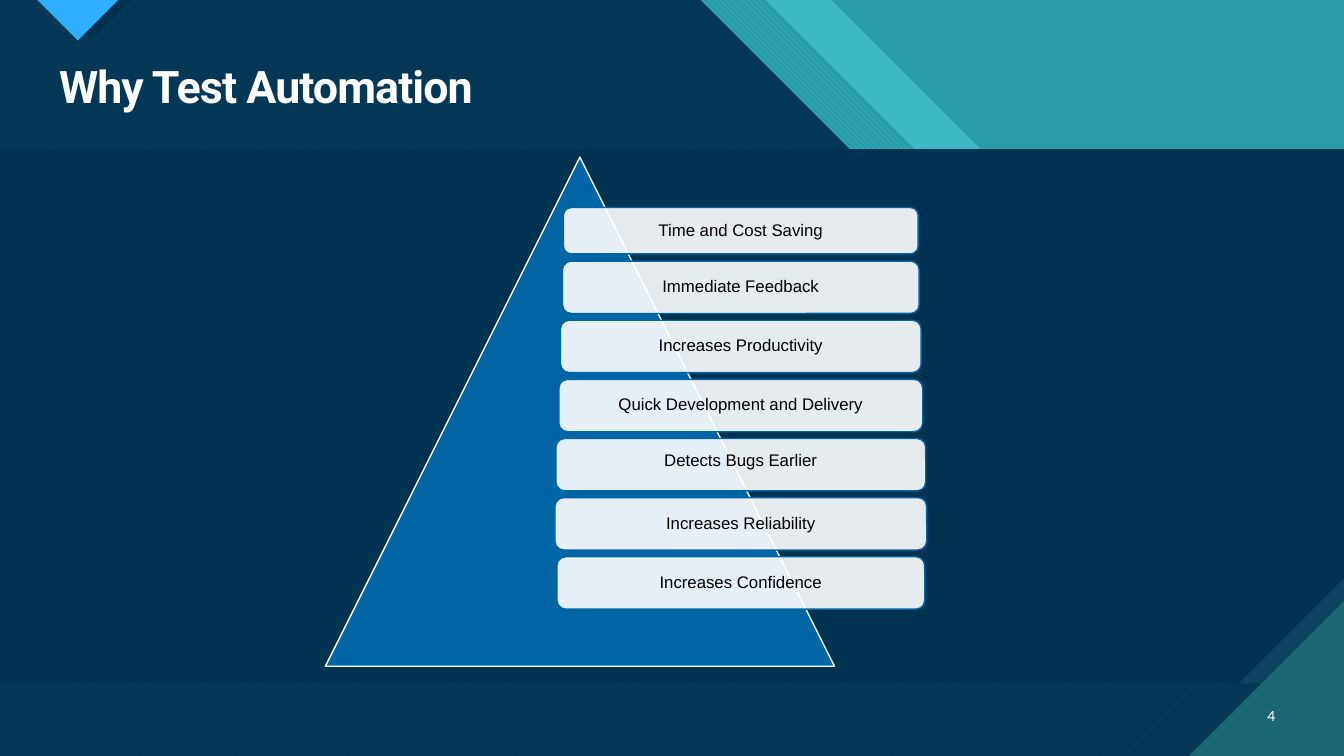
from dataclasses import dataclass

from lxml import etree
from pptx import Presentation
from pptx.dml.color import RGBColor
from pptx.enum.dml import MSO_PATTERN
from pptx.enum.shapes import MSO_SHAPE
from pptx.enum.text import MSO_ANCHOR, PP_ALIGN
from pptx.oxml.ns import qn
from pptx.util import Cm, Pt

RECT = MSO_SHAPE.RECTANGLE
ROUND_RECT = MSO_SHAPE.ROUNDED_RECTANGLE
TRIANGLE = MSO_SHAPE.ISOSCELES_TRIANGLE
DOWN_HATCH = MSO_PATTERN.WIDE_DOWNWARD_DIAGONAL
UP_HATCH = MSO_PATTERN.WIDE_UPWARD_DIAGONAL
TOP, MIDDLE = MSO_ANCHOR.TOP, MSO_ANCHOR.MIDDLE
LEFT, CENTER, RIGHT = PP_ALIGN.LEFT, PP_ALIGN.CENTER, PP_ALIGN.RIGHT

WIDTH, HEIGHT = 33.87, 19.05
PANEL_TOP, PANEL_BOTTOM, PANEL_SNIP = 3.76, 17.22, 2.65


@dataclass(frozen=True)
class Theme:
    navy: str = "003352"
    slate: str = "0C4360"
    teal: str = "299CAB"
    aqua: str = "47C3D3"
    pine: str = "1B6872"
    sky: str = "2FAFFF"
    blue: str = "0065A4"
    white: str = "FFFFFF"
    black: str = "000000"
    title_font: str = "Roboto"
    body_font: str = "Arial"
    number_font: str = "Lato"
    title_size: int = 32
    body_size: int = 12
    number_size: int = 10


def rgb(value):
    return RGBColor.from_string(value)


class SlideBuilder:
    def __init__(self, slide, theme):
        self.s = slide
        self.theme = theme

    def paint(self, sp, color, opacity=100, outline=None):
        sp.shadow.inherit = False
        sp.fill.solid()
        sp.fill.fore_color.rgb = rgb(color)
        if opacity < 100:
            clr = sp._element.spPr.find(qn("a:solidFill"))[0]
            etree.SubElement(clr, qn("a:alpha"), val=str(opacity * 1000))
        if outline:
            sp.line.color.rgb = rgb(outline)
            sp.line.width = Pt(1)
        else:
            sp.line.fill.background()
        return sp

    def shape(self, kind, x, y, w, h, color, opacity=100, outline=None):
        sp = self.s.shapes.add_shape(kind, Cm(x), Cm(y), Cm(w), Cm(h))
        return self.paint(sp, color, opacity, outline)

    def polygon(self, points, color, opacity=100):
        start, *rest = [(Cm(x), Cm(y)) for x, y in points]
        builder = self.s.shapes.build_freeform(*start)
        builder.add_line_segments(rest, close=True)
        return self.paint(builder.convert_to_shape(), color, opacity)

    def backdrop(self, top_x, color, opacity=100):
        """Full-height area whose header ends in a 45 degree edge."""
        return self.polygon(
            [(0, 0), (top_x, 0), (top_x + PANEL_TOP, PANEL_TOP),
             (WIDTH, PANEL_TOP), (WIDTH, HEIGHT), (0, HEIGHT)], color, opacity)

    def hatch(self, sp, pattern, fore, back):
        sp.fill.patterned()
        sp.fill.pattern = pattern
        sp.fill.fore_color.rgb = rgb(fore)
        sp.fill.back_color.rgb = rgb(back)

    def label(self, sp, text, font, size, color, align, anchor, bold=False):
        tf = sp.text_frame
        tf.word_wrap = True
        tf.vertical_anchor = anchor
        p = tf.paragraphs[0]
        p.alignment = align
        p.line_spacing = 0.9
        r = p.add_run()
        r.text = text
        r.font.name = font
        r.font.size = Pt(size)
        r.font.bold = bold
        r.font.color.rgb = rgb(color)
        return r

    def text(self, x, y, w, h, *style, **options):
        sp = self.s.shapes.add_textbox(Cm(x), Cm(y), Cm(w), Cm(h))
        return self.label(sp, *style, **options)

    def bar(self, benefit, center, y, w, h, lift=0):
        t = self.theme
        sp = self.shape(ROUND_RECT, center - w / 2, y, w, h, t.white, 90, t.blue)
        tf = sp.text_frame
        tf.margin_left = tf.margin_right = tf.margin_top = Cm(0.13)
        tf.margin_bottom = Cm(0.13 + 2 * lift)
        self.label(sp, benefit, t.body_font, t.body_size, t.black, CENTER, MIDDLE)


def draw_background(b):
    t = b.theme
    b.shape(RECT, 0, 0, WIDTH, HEIGHT, t.teal)

    # Header bands, each 1.65 cm further left
    edges = [20.95 - 1.65 * i for i in range(3)]
    b.backdrop(edges[0], t.aqua, 74)
    b.hatch(b.backdrop(edges[1], t.aqua), DOWN_HATCH, t.aqua, t.teal)
    b.hatch(b.backdrop(edges[2], t.navy), UP_HATCH, t.aqua, t.pine)
    b.backdrop(edges[2], t.navy, 90)

    # Marker at the top edge with its shade
    for x, color in ((1.25, t.navy), (0.94, t.sky)):
        b.polygon([(x, 0), (x + 2.04, 0), (x + 1.02, 1.02)], color)

    # Content panel with a cut corner
    b.shape(RECT, 0, PANEL_TOP, WIDTH, PANEL_BOTTOM - PANEL_TOP, t.slate)
    b.polygon(
        [(0, PANEL_TOP), (WIDTH, PANEL_TOP), (WIDTH, PANEL_BOTTOM - PANEL_SNIP),
         (WIDTH - PANEL_SNIP, PANEL_BOTTOM), (0, PANEL_BOTTOM)], t.navy)

    # Corner behind the page number
    b.polygon([(WIDTH - 3.91, HEIGHT), (WIDTH, HEIGHT), (WIDTH, HEIGHT - 3.91)],
              t.pine)


def draw_content(b):
    t = b.theme
    # Title and page number
    r = b.text(1.24, 1.5, 31.14, 1.5, "Why Test Automation", t.title_font,
               t.title_size, t.white, LEFT, TOP, bold=True)
    r._r.get_or_add_rPr().set("spc", "-70")
    b.text(31.27, 17.55, 1.12, 1.02, "4", t.number_font, t.number_size,
           t.white, RIGHT, MIDDLE)

    # Pyramid with its benefits
    b.shape(TRIANGLE, 8.2, 3.96, 12.83, 12.83, t.blue, outline=t.white)
    center = 18.67
    b.bar("Time and Cost Saving", center, 5.23, 8.94, 1.17)
    benefits = [
        ("Immediate Feedback", 8.99, 0),
        ("Increases Productivity", 9.09, 0),
        ("Quick Development and Delivery", 9.17, 0),
        ("Detects Bugs Earlier", 9.32, 0.1),
        ("Increases Reliability", 9.37, 0),
        ("Increases Confidence", 9.27, 0),
    ]
    for i, (benefit, width, lift) in enumerate(benefits):
        b.bar(benefit, center, 6.58 + 1.49 * i, width, 1.32, lift)


def main():
    prs = Presentation()
    prs.slide_width, prs.slide_height = Cm(WIDTH), Cm(HEIGHT)
    b = SlideBuilder(prs.slides.add_slide(prs.slide_layouts[6]), Theme())
    draw_background(b)
    draw_content(b)
    prs.save("out.pptx")


if __name__ == "__main__":
    main()
